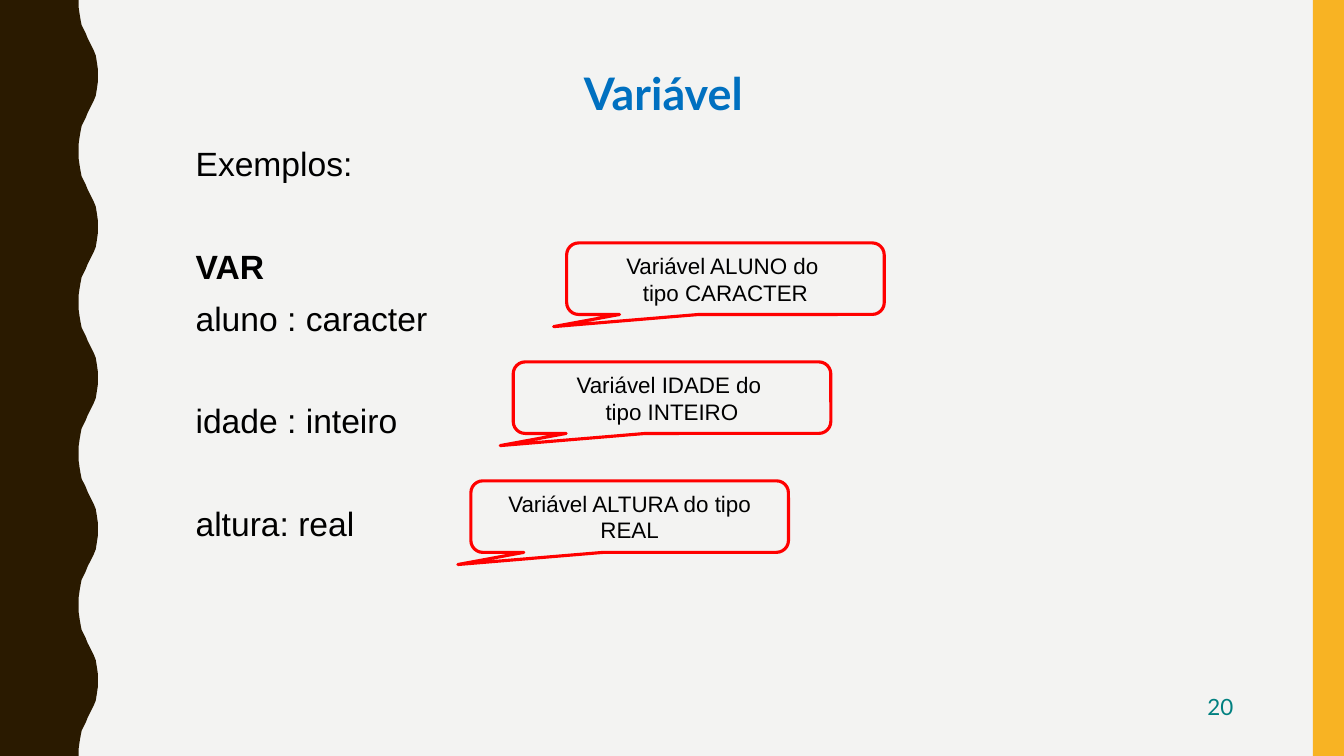
from pptx import Presentation
from pptx.dml.color import RGBColor
from pptx.enum.shapes import MSO_SHAPE
from pptx.enum.text import MSO_ANCHOR, MSO_AUTO_SIZE, PP_ALIGN
from pptx.oxml.ns import qn
from pptx.util import Inches, Pt

COLORS = {
    "background": "F3F3F2",
    "wave": "2A1A00",
    "band": "F8B323",
    "title": "0070C0",
    "number": "008080",
    "text": "000000",
    "callout": "FF0000",
}

# Half a period of the wave: (distance down, distance right)
HALF_WAVE = [
    (0, 0.78), (0.07, 0.78), (0.14, 0.79), (0.2, 0.8), (0.25, 0.81),
    (0.29, 0.83), (0.33, 0.85), (0.38, 0.87), (0.42, 0.89), (0.46, 0.91),
    (0.5, 0.93), (0.55, 0.95), (0.61, 0.96), (0.68, 0.97), (0.75, 0.97),
]
WAVE_PERIOD = 1.5
WAVE_COUNT = 5

# Body lines: text, bold, space before in points
LINE_GAP = 7
BLOCK_GAP = 43
BODY_LINES = [
    ("Exemplos:", False, LINE_GAP),
    ("VAR", True, BLOCK_GAP),
    ("aluno : caracter", False, LINE_GAP),
    ("idade : inteiro", False, BLOCK_GAP),
    ("altura: real", False, BLOCK_GAP),
]

# Callouts: left edge and lines
CALLOUTS = [
    (5.62, ["Variável ALUNO do ", "tipo CARACTER"]),
    (5.09, ["Variável IDADE do ", "tipo INTEIRO"]),
    (4.67, ["Variável ALTURA do tipo REAL"]),
]
CALLOUT_TOP = 2.41
CALLOUT_STEP = 1.18


class SlideBuilder:
    heading_font = "Lato"
    body_font = "Arial"

    def __init__(self, page):
        self.page = page
        self.fill(page.background, "background")

    def color(self, name):
        return RGBColor.from_string(COLORS[name])

    def fill(self, item, name):
        item.fill.solid()
        item.fill.fore_color.rgb = self.color(name)

    def place(self, shape, left, top, width, height):
        shape.left, shape.top = Inches(left), Inches(top)
        shape.width, shape.height = Inches(width), Inches(height)

    def frame(self, shape, anchor):
        frame = shape.text_frame
        frame.word_wrap = True
        frame.auto_size = MSO_AUTO_SIZE.NONE
        frame.vertical_anchor = anchor
        return frame

    def span(self, para, text, size, font, color, bold=False):
        span = para.add_run()
        span.text = text
        span.font.size = Pt(size)
        span.font.name = font
        span.font.bold = bold
        span.font.color.rgb = self.color(color)

    def paragraph(self, frame, index):
        return frame.add_paragraph() if index else frame.paragraphs[0]

    def wave(self):
        mirrored = [(WAVE_PERIOD - y, x) for y, x in HALF_WAVE[-2::-1]]
        points = [(0, 0)]
        for number in range(WAVE_COUNT):
            points += [(x, y + number * WAVE_PERIOD) for y, x in HALF_WAVE + mirrored]
        points.append((0, WAVE_COUNT * WAVE_PERIOD))
        builder = self.page.shapes.build_freeform(0, 0)
        builder.add_line_segments([(Inches(x), Inches(y)) for x, y in points[1:]])
        self.finish(builder.convert_to_shape(), "wave")

    def band(self, left, top, width, height):
        box = self.page.shapes.add_shape(
            MSO_SHAPE.RECTANGLE, Inches(left), Inches(top), Inches(width), Inches(height))
        self.finish(box, "band")

    def finish(self, shape, color):
        shape.shadow.inherit = False
        self.fill(shape, color)
        shape.line.fill.background()

    def title(self, text):
        box = self.page.shapes.title
        self.place(box, 0.97, 0.6, 11.22, 0.63)
        para = self.frame(box, MSO_ANCHOR.MIDDLE).paragraphs[0]
        para.alignment = PP_ALIGN.CENTER
        self.span(para, text, 32, self.heading_font, "title", True)

    def body(self, lines):
        box = self.page.placeholders[1]
        self.place(box, 1.84, 1.35, 8.93, 5.2)
        frame = self.frame(box, MSO_ANCHOR.TOP)
        for index, (text, bold, gap) in enumerate(lines):
            para = self.paragraph(frame, index)
            para.space_before = Pt(gap)
            para.line_spacing = 1.05
            properties = para._p.get_or_add_pPr()
            properties.set("marL", str(Inches(0.37)))
            properties.set("indent", str(Inches(-0.37)))
            properties.append(properties.makeelement(qn("a:buNone"), {}))
            self.span(para, text, 24, self.body_font, "text", bold)

    def callout(self, left, top, lines):
        box = self.page.shapes.add_shape(
            MSO_SHAPE.ROUNDED_RECTANGULAR_CALLOUT,
            Inches(left), Inches(top), Inches(3.15), Inches(0.71))
        for index, value in enumerate((-0.541, 0.67, 0.167)):
            box.adjustments[index] = value
        box.shadow.inherit = False
        box.fill.background()
        box.line.color.rgb = self.color("callout")
        box.line.width = Pt(2.25)
        frame = self.frame(box, MSO_ANCHOR.MIDDLE)
        for index, text in enumerate(lines):
            para = self.paragraph(frame, index)
            para.alignment = PP_ALIGN.CENTER
            self.span(para, text, 16, self.body_font, "text")

    def page_number(self, text):
        box = self.page.shapes.add_textbox(
            Inches(11.11), Inches(6.83), Inches(1.22), Inches(0.5))
        para = self.frame(box, MSO_ANCHOR.TOP).paragraphs[0]
        para.alignment = PP_ALIGN.RIGHT
        self.span(para, text, 16, self.heading_font, "number")


def main():
    deck = Presentation()
    deck.slide_width, deck.slide_height = Inches(13.33), Inches(7.5)
    slide = SlideBuilder(deck.slides.add_slide(deck.slide_layouts[1]))

    # Side decoration
    slide.wave()
    slide.band(13.02, 0, 0.31, 7.5)

    # Title, variable list and page number
    slide.page_number("20")
    slide.title("Variável")
    slide.body(BODY_LINES)

    # One callout per variable
    for row, (left, lines) in enumerate(CALLOUTS):
        slide.callout(left, CALLOUT_TOP + row * CALLOUT_STEP, lines)

    deck.save("out.pptx")


if __name__ == "__main__":
    main()
